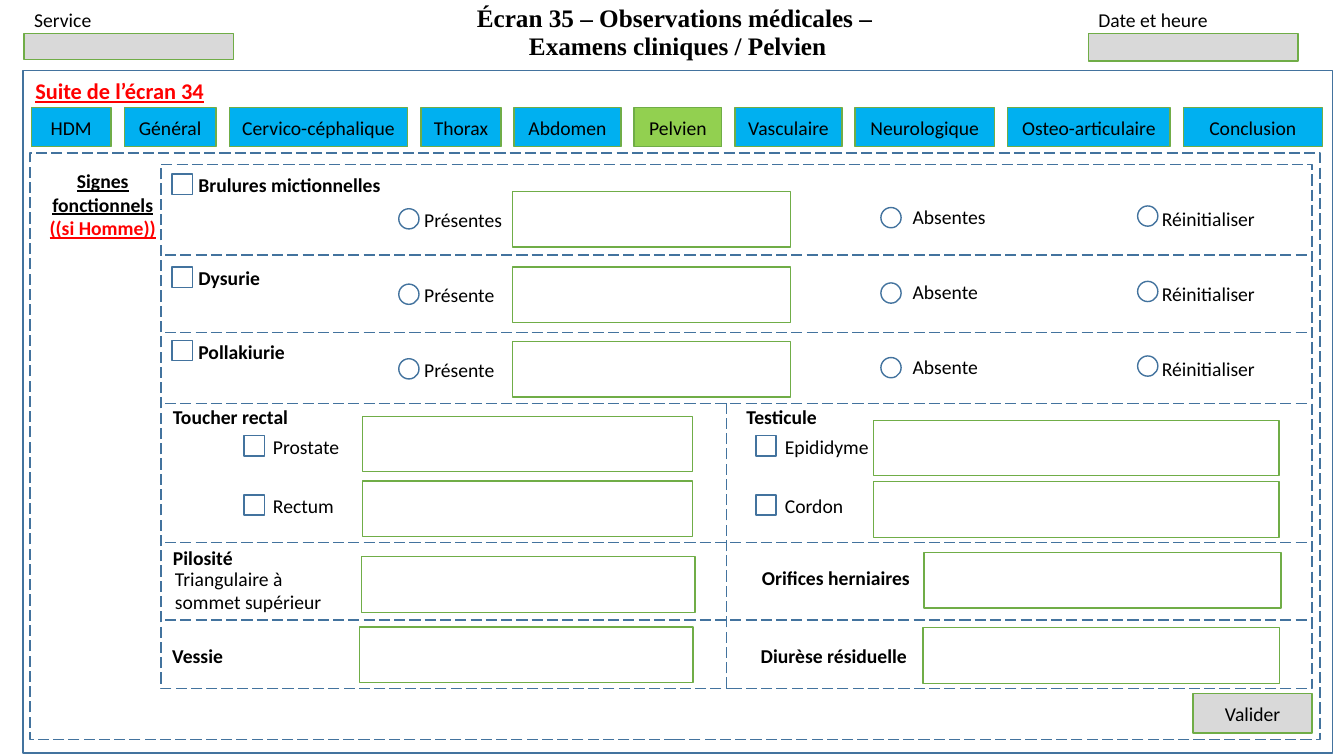
from pptx import Presentation
from pptx.dml.color import RGBColor
from pptx.enum.dml import MSO_LINE
from pptx.enum.shapes import MSO_CONNECTOR, MSO_SHAPE
from pptx.enum.text import MSO_ANCHOR, MSO_AUTO_SIZE, PP_ALIGN
from pptx.oxml.ns import qn
from pptx.util import Cm, Pt
from lxml import etree

BLUE, GREEN, GREY = "43739E", "70AD47", "D9D9D9"
TAB_BLUE, TAB_GREEN = "00B0F0", "92D050"
BLACK, RED = "000000", "FF0000"
MARK = 0.51          # side of a check box or radio button
LABEL_HEIGHT = 0.86
FIELD_HEIGHT = 1.4


def color(value):
    return RGBColor.from_string(value)


def place(shape, box):
    shape.left, shape.top, shape.width, shape.height = [Cm(length) for length in box]


def add_span(para, text, size=14, ink=BLACK, bold=False, underline=False, face="Calibri"):
    span = para.add_run()
    span.text = text
    span.font.name = face
    span.font.size = Pt(size)
    span.font.bold = bold
    span.font.underline = underline
    span.font.color.rgb = color(ink)


def set_line(line, ink, dashed=False):
    line.color.rgb = color(ink)
    line.width = Pt(1)
    if dashed:
        line.dash_style = MSO_LINE.LONG_DASH


def add_box(page, box, ink=GREEN, fill=None, dashed=False, kind=MSO_SHAPE.RECTANGLE):
    shape = page.shapes.add_shape(kind, *[Cm(length) for length in box])
    shape.shadow.inherit = False
    if fill:
        shape.fill.solid()
        shape.fill.fore_color.rgb = color(fill)
    else:
        shape.fill.background()
    set_line(shape.line, ink, dashed)
    return shape


def add_button(page, box, text, fill):
    frame = add_box(page, box, fill=fill).text_frame
    frame.word_wrap = True
    frame.margin_left = frame.margin_right = 0
    frame.vertical_anchor = MSO_ANCHOR.MIDDLE
    para = frame.paragraphs[0]
    para.alignment = PP_ALIGN.CENTER
    add_span(para, text)


def add_label(page, left, top, text, width=5, height=LABEL_HEIGHT, **style):
    label = page.shapes.add_textbox(Cm(left), Cm(top), Cm(width), Cm(height))
    frame = label.text_frame
    frame.word_wrap = True
    frame.margin_right = 0
    add_span(frame.paragraphs[0], text, **style)
    return frame


def add_mark(page, left, top, kind=MSO_SHAPE.RECTANGLE):
    add_box(page, (left, top, MARK, MARK), ink=BLUE, kind=kind)


def add_divider(page, start, end):
    ends = [Cm(length) for length in (*start, *end)]
    line = page.shapes.add_connector(MSO_CONNECTOR.STRAIGHT, *ends)
    set_line(line.line, BLUE, dashed=True)
    etree.SubElement(line._element.spPr, qn("a:effectLst"))


def add_title(page, box):
    title = page.shapes.title
    place(title, box)
    frame = title.text_frame
    frame.word_wrap = True
    frame.auto_size = MSO_AUTO_SIZE.NONE
    frame.vertical_anchor = MSO_ANCHOR.BOTTOM
    lines = ["Écran 35 – Observations médicales – ", "Examens cliniques / Pelvien"]
    for index, text in enumerate(lines):
        para = frame.add_paragraph() if index else frame.paragraphs[0]
        para.alignment = PP_ALIGN.CENTER
        para.line_spacing = 0.95
        para.space_before = Pt(0)
        add_span(para, text, size=18, bold=True, face="Times New Roman")


def add_header_field(page, box, text):
    left, top, width, height = box
    add_label(page, left, top - 0.77, text)
    add_box(page, box, fill=GREY)


def add_tabs(page, box):
    left, top, width, height = box
    tabs = [("HDM", 2.01), ("Général", 2.31), ("Cervico-céphalique", 4.5), ("Thorax", 2.01),
            ("Abdomen", 2.69), ("Pelvien", 2.21), ("Vasculaire", 2.69),
            ("Neurologique", 3.51), ("Osteo-articulaire", 4.09), ("Conclusion", 3.51)]
    gap = (width - sum(tab_width for name, tab_width in tabs)) / (len(tabs) - 1)
    for name, tab_width in tabs:
        fill = TAB_GREEN if name == "Pelvien" else TAB_BLUE
        add_button(page, (left, top, tab_width, height), name, fill)
        left += tab_width + gap


def add_section_name(page, box):
    left, top, width, height = box
    frame = add_label(page, left, top, "Signes fonctionnels", width, height,
                      bold=True, underline=True)
    frame.margin_left = 0
    add_span(frame.add_paragraph(), "((si Homme))", ink=RED, bold=True, underline=True)
    for para in frame.paragraphs:
        para.alignment = PP_ALIGN.CENTER


def add_symptom(page, left, top, name, answers, check_drop, field_drop):
    # Check box and symptom name
    add_mark(page, left + 0.28, top + check_drop)
    add_label(page, left + 0.69, top + check_drop - 0.15, name, bold=True)
    # Free text field and the radio buttons around it
    field_top = top + field_drop
    add_box(page, (left + 8.86, field_top, 7.01, FIELD_HEIGHT))
    spots = [(5.99, 0.43, 6.38, 0.28), (18.14, 0.4, 18.69, 0.2), (24.61, 0.36, 24.97, 0.25)]
    for text, (mark_x, mark_y, text_x, text_y) in zip([*answers, "Réinitialiser"], spots):
        add_mark(page, left + mark_x, field_top + mark_y, MSO_SHAPE.OVAL)
        add_label(page, left + text_x, field_top + text_y, text, width=3)


def add_palpation(page, left, top, heading, indent, parts, check, field, pitch, width):
    add_label(page, left + indent, top - 0.07, heading, bold=True)
    for index, part in enumerate(parts):
        mark_left, mark_top = left + check, top + 0.82 + index * 1.49
        add_mark(page, mark_left, mark_top)
        add_label(page, mark_left + 0.48, mark_top - 0.15, part, width=2.8)
        field_top = top + field[1] + index * pitch
        add_box(page, (left + field[0], field_top, width, FIELD_HEIGHT))


def add_finding(page, left, top, name, label, field, width):
    add_label(page, left + label[0], top + label[1], name, bold=True)
    add_box(page, (left + field[0], top + field[1], width, FIELD_HEIGHT))


def add_exam(page, box):
    left, top, width, height = box
    add_box(page, box, ink=BLUE, dashed=True)
    right, bottom, middle = left + width, top + height, left + 14.25
    dysuria, frequency, touch, hair, bladder = [
        top + drop for drop in (2.29, 4.24, 6.02, 9.53, 11.48)]

    # Symptoms
    add_symptom(page, left, top, "Brulures mictionnelles",
                ("Présentes", "Absentes"), 0.25, 0.69)
    add_symptom(page, left, dysuria, "Dysurie", ("Présente", "Absente"), 0.3, 0.3)
    add_symptom(page, left, frequency, "Pollakiurie", ("Présente", "Absente"), 0.2, 0.23)

    # Palpation
    add_palpation(page, left, touch, "Toucher rectal", 0.05, ("Prostate", "Rectum"),
                  2.09, (5.08, 0.33), 1.63, 8.31)
    add_palpation(page, middle, touch, "Testicule", 0.25, ("Epididyme", "Cordon"),
                  0.74, (3.71, 0.43), 1.55, 10.21)

    # Other findings
    add_finding(page, left, hair, "Pilosité", (0.05, -0.03), (5.05, 0.36), 8.41)
    add_label(page, left + 0.1, hair + 0.48, "Triangulaire à sommet supérieur", 4.19, 1.3)
    add_finding(page, middle, hair, "Orifices herniaires", (0.64, 0.46), (4.98, 0.25), 8.99)
    add_finding(page, left, bladder, "Vessie", (0.03, 0.48), (5, 0.18), 8.41)
    add_finding(page, middle, bladder, "Diurèse résiduelle", (0.61, 0.48), (4.95, 0.2), 8.99)

    # Dividers
    for level in (dysuria, frequency, touch, hair, bladder):
        add_divider(page, (left + 0.1, level), (right - 0.1, level))
    add_divider(page, (middle, bottom), (middle, touch))


def add_screen(deck):
    page = deck.slides.add_slide(deck.slide_layouts[5])
    # Header
    add_title(page, (8.76, 0.18, 16.64, 1.5))
    add_header_field(page, (0.61, 0.84, 5.28, 0.66), "Service")
    add_header_field(page, (27.43, 0.84, 5.28, 0.7), "Date et heure")
    # Frames and tabs
    add_box(page, (0.58, 1.78, 33, 17.2), ink=BLUE)
    heading = add_label(page, 0.64, 1.83, "Suite de l’écran 34", 5.72, 0.91,
                        size=16, ink=RED, bold=True, underline=True)
    heading.vertical_anchor = MSO_ANCHOR.MIDDLE
    add_tabs(page, (0.79, 2.71, 32.54, 0.99))
    add_box(page, (0.76, 3.86, 32.51, 14.78), ink=BLUE, dashed=True)
    # Form
    add_section_name(page, (0.99, 4.14, 3.2, 2.06))
    add_exam(page, (4.06, 4.14, 29.01, 13.21))
    add_button(page, (30.07, 17.48, 3, 0.99), "Valider", GREY)


def main():
    deck = Presentation()
    deck.slide_width, deck.slide_height = Cm(33.87), Cm(19.05)
    add_screen(deck)
    deck.save("out.pptx")


if __name__ == "__main__":
    main()
